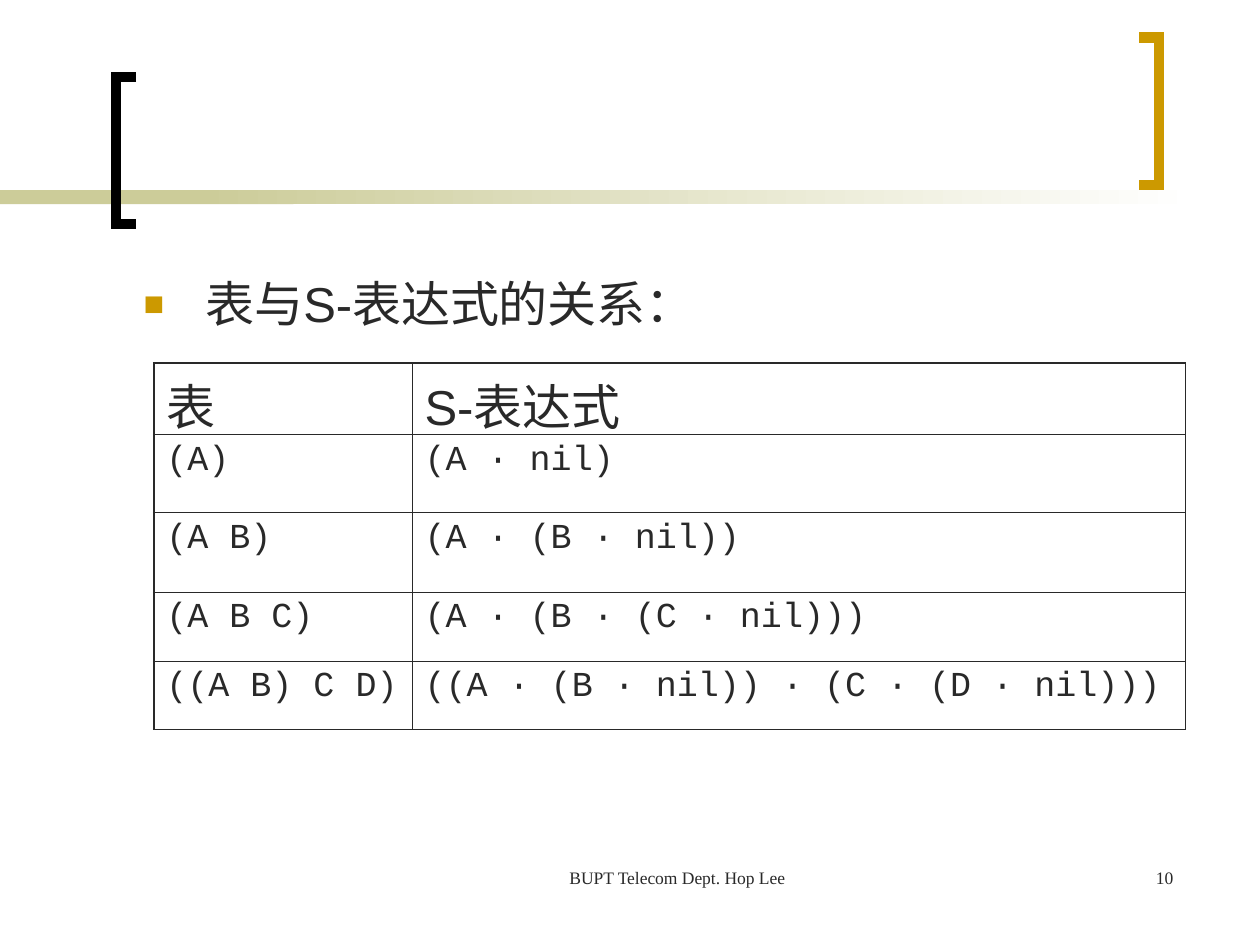
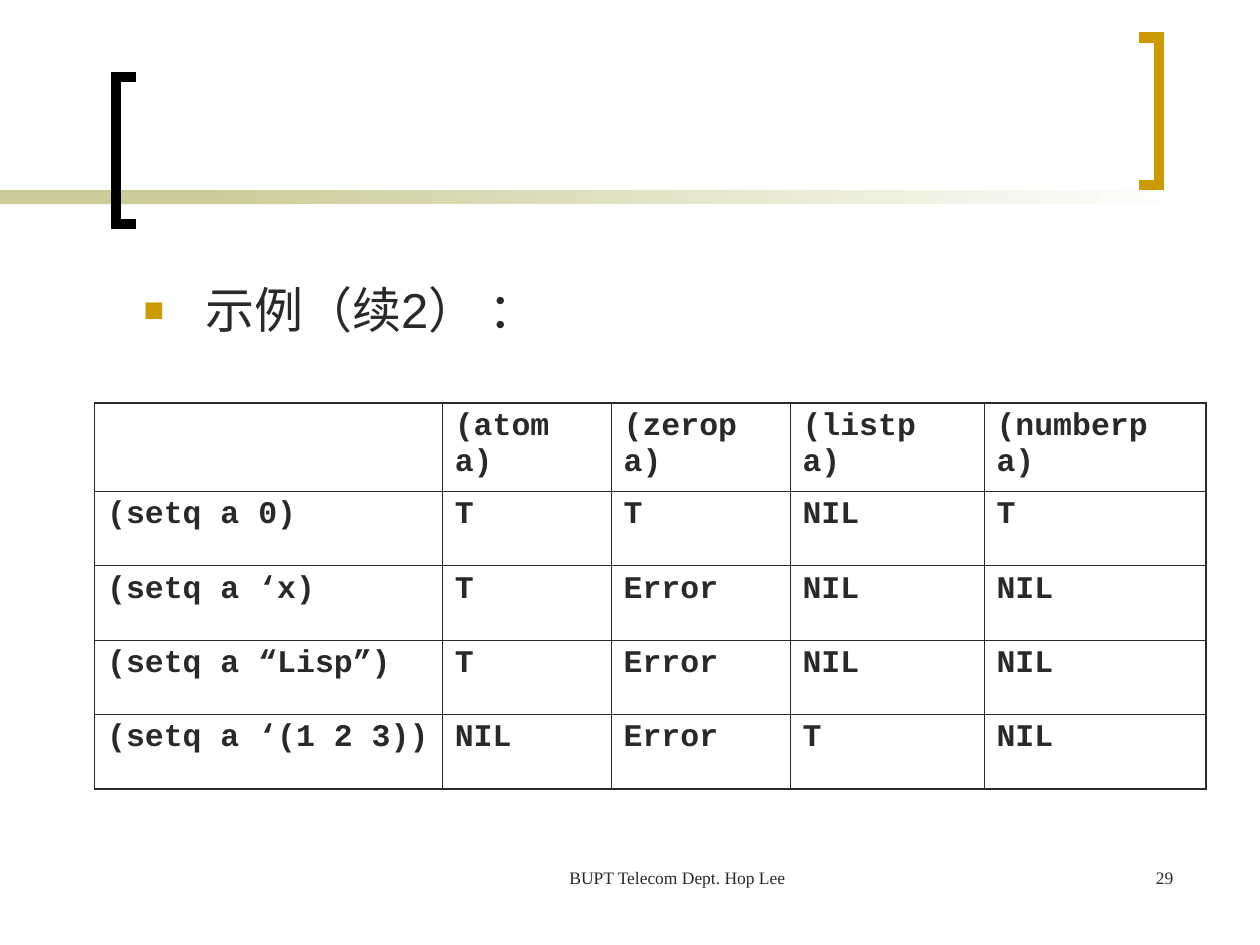
"""Build two Lisp lecture slides that share bracket decoration, heading and footer."""
from collections import namedtuple

from lxml import etree
from pptx import Presentation
from pptx import util as u
from pptx.dml.color import RGBColor
from pptx.enum import shapes, text
from pptx.oxml import ns

COLORS = {"ink": "292929", "black": "000000", "gold": "CC9900",
          "sand": "CCCC99", "white": "FFFFFF"}
SLIDE_WIDTH, SLIDE_HEIGHT = u.Inches(10), u.Inches(7.5)
COLUMNS, ROWS = 100, 75
THICK, THIN = 1.08, 0.45

Box = namedtuple("Box", "left top width height")
LEFT_BRACKET = Box(9.2, 6.1, 1.6, 11.7)
RIGHT_BRACKET = Box(90.4, 3, 1.6, 11.7)
FOOTER = Box(36.7, 68.3, 31.7, 5)
PAGE_NUMBER = Box(73.3, 68.3, 20.8, 5)

LIST_ROWS = [
    ("表", "S-表达式"),
    ("(A)", "(A · nil)"),
    ("(A B)", "(A · (B · nil))"),
    ("(A B C)", "(A · (B · (C · nil)))"),
    ("((A B) C D)", "((A · (B · nil)) · (C · (D · nil)))"),
]
PREDICATE_ROWS = [
    ("", "(atom a)", "(zerop a)", "(listp a)", "(numberp a)"),
    ("(setq a 0)", "T", "T", "NIL", "T"),
    ("(setq a ‘x)", "T", "Error", "NIL", "NIL"),
    ("(setq a “Lisp”)", "T", "Error", "NIL", "NIL"),
    ("(setq a ‘(1 2 3))", "NIL", "Error", "T", "NIL"),
]


def across(columns):
    """Return the length of a number of grid columns."""
    return round(SLIDE_WIDTH * columns / COLUMNS)


def down(rows):
    """Return the length of a number of grid rows."""
    return round(SLIDE_HEIGHT * rows / ROWS)


def place(box):
    """Return left, top, width and height of a grid box as lengths."""
    return across(box.left), down(box.top), across(box.width), down(box.height)


def color(name):
    """Return a named colour of the palette."""
    return RGBColor.from_string(COLORS[name])


def add_element(parent, tag, **attributes):
    """Append a drawing element to its parent."""
    return etree.SubElement(parent, ns.qn(tag), attributes)


def write(paragraph, content, size=28, font="Arial", bold=False, ink="ink",
          align=None, indent=None, spacing=None):
    """Fill a paragraph with formatted text."""
    run = paragraph.add_run()
    run.text = content
    run.font.size, run.font.name, run.font.bold = u.Pt(size), font, bold
    run.font.color.rgb = color(ink)
    paragraph.alignment = align
    paragraph.space_before = u.Pt(0)
    if spacing:
        paragraph.line_spacing = spacing
    if indent is not None:
        paragraph._p.get_or_add_pPr().set("marL", str(across(indent)))


def add_bullet(paragraph, hanging):
    """Give a paragraph a small gold square with a hanging indent."""
    properties = paragraph._p.get_or_add_pPr()
    properties.set("marL", str(across(hanging)))
    properties.set("indent", str(-across(hanging)))
    bullet_color = add_element(properties, "a:buClr")
    add_element(bullet_color, "a:srgbClr", val=COLORS["gold"])
    add_element(properties, "a:buSzPct", val="70000")
    add_element(properties, "a:buFont", typeface="Arial")
    add_element(properties, "a:buChar", char="■")


def add_band(slide):
    """Draw the band that fades out to the right."""
    for box, fades in ((Box(0, 15.1, 23.3, 1.1), False), (Box(15.8, 15.1, 79.2, 1.1), True)):
        band = slide.shapes.add_shape(shapes.MSO_SHAPE.RECTANGLE, *place(box))
        band.shadow.inherit = False
        band.line.fill.background()
        if fades:
            band.fill.gradient()
            band.fill.gradient_angle = 0
            for stop, name in zip(band.fill.gradient_stops, ("sand", "white")):
                stop.color.rgb = color(name)
        else:
            band.fill.solid()
            band.fill.fore_color.rgb = color("sand")


def add_bracket(slide, box, opens_right, ink):
    """Draw a square bracket along one side of a box."""
    left, top, width, height = place(box)
    tip, spine = (left + width, left) if opens_right else (left, left + width)
    builder = slide.shapes.build_freeform(tip, top)
    builder.add_line_segments(
        [(spine, top), (spine, top + height), (tip, top + height)], close=False)
    bracket = builder.convert_to_shape()
    bracket.shadow.inherit = False
    bracket.fill.background()
    bracket.line.color.rgb = color(ink)
    bracket.line.width = u.Pt(6)
    add_element(bracket.line._get_or_add_ln(), "a:miter", lim="800000")


def add_small_print(slide, box, content, align):
    """Add one footer text."""
    frame = slide.shapes.add_textbox(*place(box)).text_frame
    frame.word_wrap = True
    write(frame.paragraphs[0], content, size=10, font="Times New Roman",
          align=align, indent=2.4)


def add_heading(slide, box, content, spacing=None):
    """Put the bulleted heading in the body placeholder."""
    body = slide.placeholders[1]
    body.left, body.top, body.width, body.height = place(box)
    body.text_frame.auto_size = text.MSO_AUTO_SIZE.NONE
    paragraph = body.text_frame.paragraphs[0]
    add_bullet(paragraph, 4.9)
    write(paragraph, content, spacing=spacing)


def add_borders(cell, **widths):
    """Draw the border lines of a cell, given a width for each side."""
    properties = cell._tc.get_or_add_tcPr()
    for side, width in widths.items():
        line = add_element(properties, f"a:ln{side}", w=str(u.Pt(width)))
        fill = add_element(line, "a:solidFill")
        add_element(fill, "a:srgbClr", val=COLORS["ink"])


def add_grid_table(slide, left, top, widths, heights, rows, body_format, header_format):
    """Add a ruled table with a thicker outer frame."""
    box = Box(left, top, sum(widths), sum(heights))
    table = slide.shapes.add_table(len(rows), len(widths), *place(box)).table
    table.first_row = table.horz_banding = False
    for column, width in zip(table.columns, widths):
        column.width = across(width)
    last_row, last_column = len(rows) - 1, len(widths) - 1
    for row_index, values in enumerate(rows):
        table.rows[row_index].height = down(heights[row_index])
        for column_index, value in enumerate(values):
            cell = table.cell(row_index, column_index)
            add_borders(cell,
                        L=THIN if column_index else THICK,
                        R=THICK if column_index == last_column else THIN,
                        T=THIN if row_index else THICK,
                        B=THICK if row_index == last_row else THIN)
            cell.fill.background()
            if value:
                write(cell.text_frame.paragraphs[0], value,
                      **(body_format if row_index else header_format))


def add_lecture_slide(presentation, page):
    """Add a slide with the shared decoration and footer."""
    slide = presentation.slides.add_slide(presentation.slide_layouts[1])
    title = slide.shapes.title._element
    title.getparent().remove(title)
    add_band(slide)
    add_bracket(slide, LEFT_BRACKET, True, "black")
    add_bracket(slide, RIGHT_BRACKET, False, "gold")
    add_small_print(slide, FOOTER, "BUPT Telecom Dept. Hop Lee", text.PP_ALIGN.CENTER)
    add_small_print(slide, PAGE_NUMBER, str(page), text.PP_ALIGN.RIGHT)
    return slide


def build_list_slide(presentation):
    """Compare lists with S-expressions."""
    slide = add_lecture_slide(presentation, 10)
    add_heading(slide, Box(10.4, 21.7, 76.6, 5.6), "表与S-表达式的关系：", spacing=0.9)
    add_grid_table(slide, 12.2, 28.8, (20.5, 61.4), (5.7, 6.2, 6.3, 5.5, 5.4), LIST_ROWS,
                   body_format={"size": 20, "font": "Courier New"},
                   header_format={"size": 28})


def build_predicate_slide(presentation):
    """Tabulate the results of type predicates."""
    slide = add_lecture_slide(presentation, 29)
    add_heading(slide, Box(10.4, 21.7, 41.1, 45), "示例（续2） ：")
    code = {"size": 18, "font": "Courier New", "bold": True}
    add_grid_table(slide, 7.5, 32, (27.6, 13.4, 14.2, 15.4, 17.6), (7, *[5.9] * 4),
                   PREDICATE_ROWS, body_format=code, header_format=code)


def main():
    """Build and save the presentation."""
    presentation = Presentation()
    presentation.slide_width, presentation.slide_height = SLIDE_WIDTH, SLIDE_HEIGHT
    build_list_slide(presentation)
    build_predicate_slide(presentation)
    presentation.save("out.pptx")


if __name__ == "__main__":
    main()
